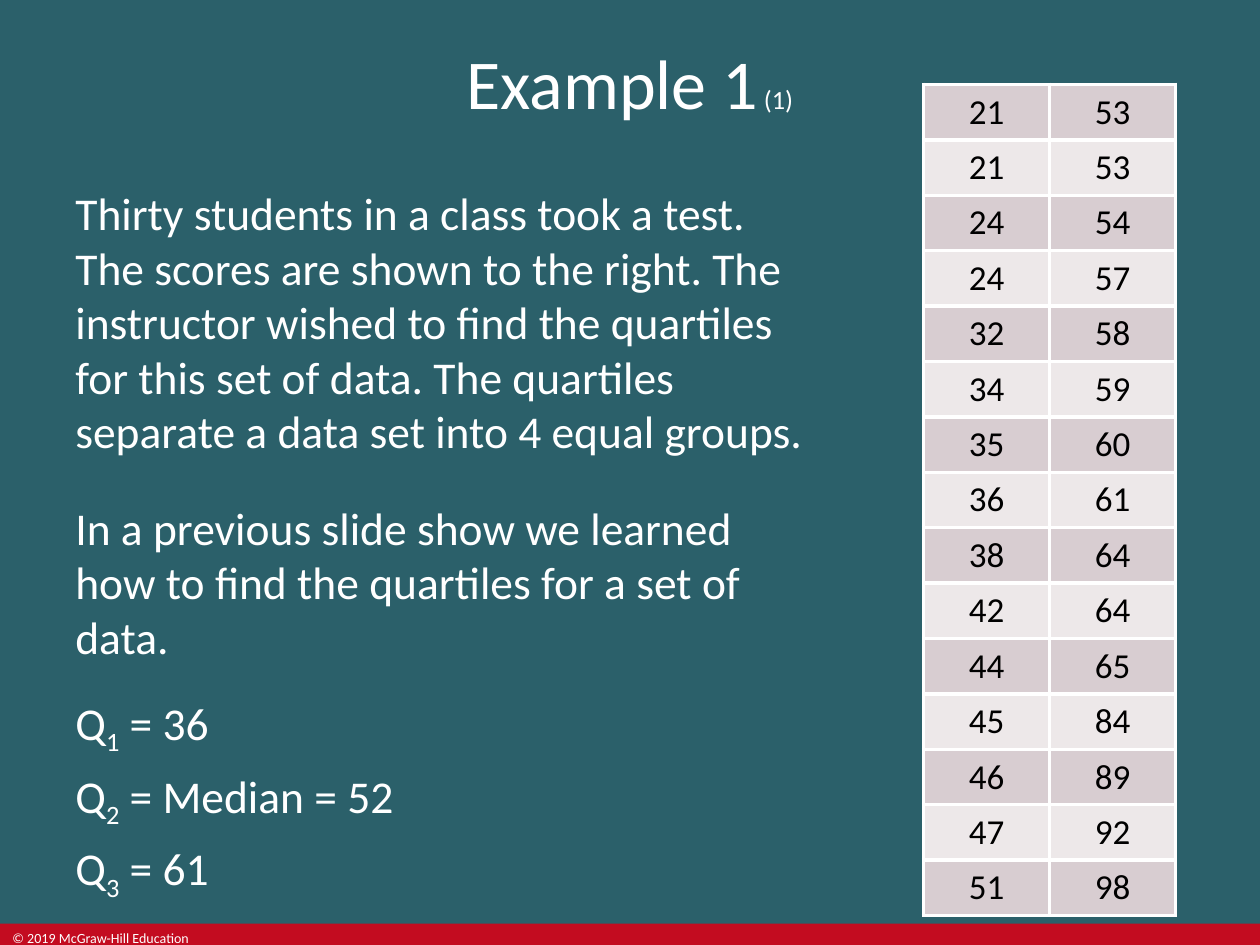
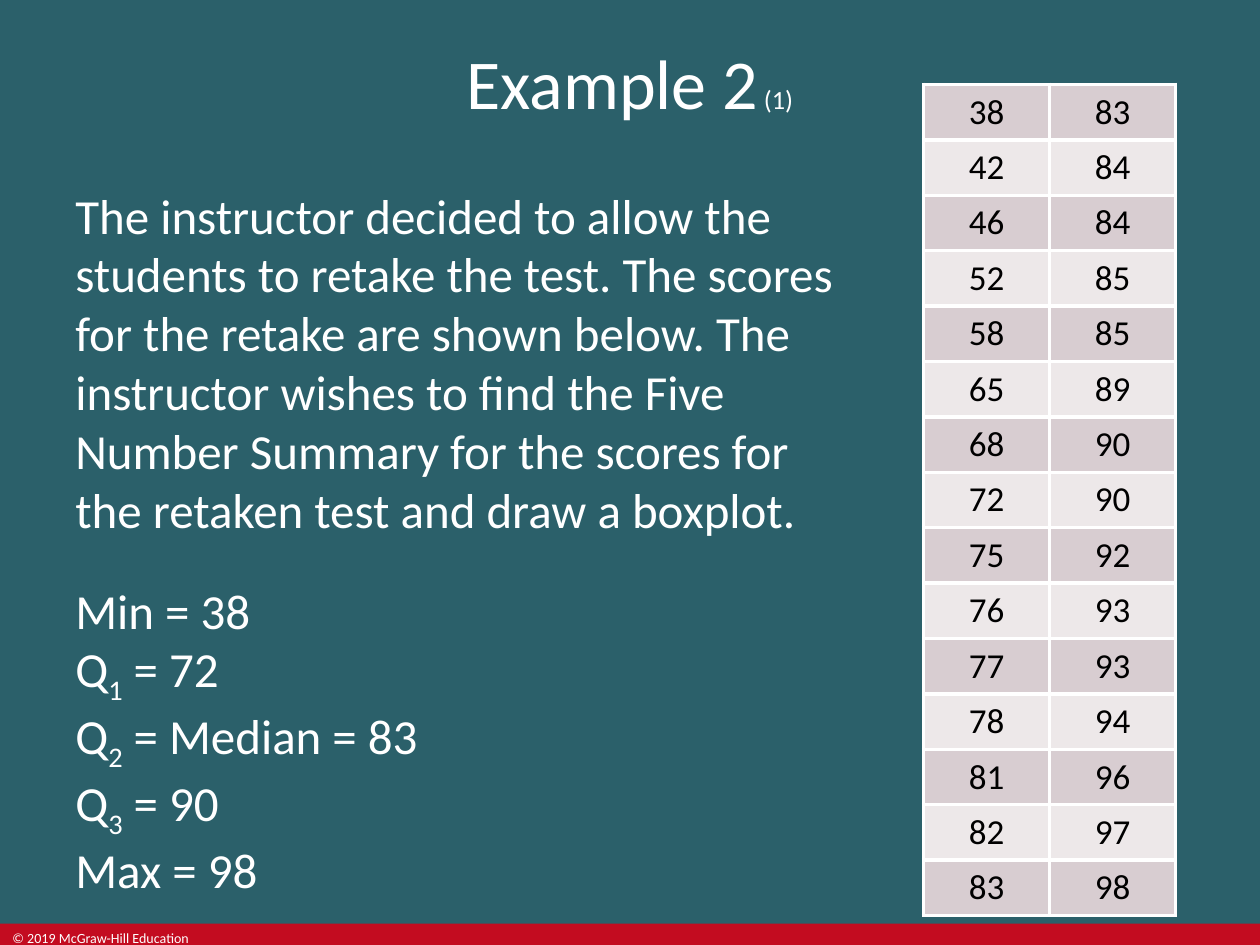
"""Build two example slides, each with a problem text and a table of test scores."""
from lxml import etree
from pptx import Presentation
from pptx.dml.color import RGBColor
from pptx.enum.shapes import MSO_SHAPE as SHAPE
from pptx.enum.text import MSO_ANCHOR as ANCHOR, PP_ALIGN as ALIGN
from pptx.oxml.ns import qn
from pptx.util import Inches, Pt

SLIDES = [
    {
        "title": "Example 1",
        "width": 6,
        "size": 26,
        "body": [
            ("Thirty students in a class took a test. The scores are shown to the right. "
             "The instructor wished to find the quartiles for this set of data. "
             "The quartiles separate a data set into 4 equal groups.", 0, 12),
            ("In a previous slide show we learned how to find the quartiles "
             "for a set of data.", 12, 12),
            ("Q_1_ = 36", 6, 0),
            ("Q_2_ = Median = 52", 6, 0),
            ("Q_3_ = 61", 6, 0),
        ],
        "scores": [
            (21, 21, 24, 24, 32, 34, 35, 36, 38, 42, 44, 45, 46, 47, 51),
            (53, 53, 54, 57, 58, 59, 60, 61, 64, 64, 65, 84, 89, 92, 98),
        ],
    },
    {
        "title": "Example 2",
        "width": 6.3,
        "size": 28,
        "body": [
            ("The instructor decided to allow the students to retake the test. "
             "The scores for the retake are shown below. The instructor wishes to find "
             "the Five Number Summary for the scores for the retaken test "
             "and draw a boxplot.", 0, 12),
            ("Min = 38", 12, 0),
            ("Q_1_ = 72", 0, 0),
            ("Q_2_ = Median = 83", 0, 0),
            ("Q_3_ = 90", 0, 0),
            ("Max = 98", 0, 0),
        ],
        "scores": [
            (38, 42, 46, 52, 58, 65, 68, 72, 75, 76, 77, 78, 81, 82, 83),
            (83, 84, 84, 85, 85, 89, 90, 90, 92, 93, 93, 94, 96, 97, 98),
        ],
    },
]
PART = " (1)"
COPYRIGHT = "© 2019 McGraw-Hill Education"
FONT = "Calibri"
TEAL, RED, WHITE, BLACK = "2B606A", "C30C20", "FFFFFF", "000000"
ROW_FILLS = ("D8CDD1", "EDE8E9")
ROW_HEIGHT = 0.44
BAND_TOP, BAND_HEIGHT = 7.33, 0.17


def rgb(value):
    """Turn a hex string into a colour."""
    return RGBColor.from_string(value)


def add_run(p, text, size, color=WHITE):
    """Add a formatted run to a paragraph."""
    r = p.add_run()
    r.text = text
    for name, value in {"name": FONT, "size": Pt(size)}.items():
        setattr(r.font, name, value)
    r.font.color.rgb = rgb(color)
    return r


def add_text(s, box, anchor=ANCHOR.TOP):
    """Add a wrapping text box and return its text frame."""
    tf = s.shapes.add_textbox(*map(Inches, box)).text_frame
    for name, value in {"word_wrap": True, "vertical_anchor": anchor}.items():
        setattr(tf, name, value)
    return tf


def add_frame(s):
    """Draw the background, the bottom band and the copyright line."""
    s.background.fill.solid()
    s.background.fill.fore_color.rgb = rgb(TEAL)
    sp = s.shapes.add_shape(SHAPE.RECTANGLE, *map(Inches, (0, BAND_TOP, 10, BAND_HEIGHT)))
    sp.shadow.inherit = False
    sp.fill.solid()
    sp.fill.fore_color.rgb = rgb(RED)
    sp.line.fill.background()
    tf = add_text(s, (0, BAND_TOP, 1.7, BAND_HEIGHT))
    add_run(tf.paragraphs[0], COPYRIGHT, 8)


def add_title(s, title):
    """Draw the centred title with its small part number."""
    p = add_text(s, (0, 0, 10, 1.3), ANCHOR.MIDDLE).paragraphs[0]
    p.alignment = ALIGN.CENTER
    add_run(p, title, 40)
    add_run(p, PART, 15)


def add_body(s, body, width, size):
    """Draw the paragraphs, lowering the text between underscores."""
    tf = add_text(s, (0.5, 1.42, width, 5.75))
    for i, (text, before, after) in enumerate(body):
        p = tf.add_paragraph() if i else tf.paragraphs[0]
        for name, value in {"space_before": before, "space_after": after}.items():
            setattr(p, name, Pt(value))
        for j, piece in enumerate(text.split("_")):
            r = add_run(p, piece, size)
            if j % 2:
                r._r.get_or_add_rPr().set("baseline", "-25000")


def set_borders(cell):
    """Give a cell white borders on all sides, placed before its fill."""
    tcPr = cell._tc.get_or_add_tcPr()
    for i, side in enumerate(("lnL", "lnR", "lnT", "lnB")):
        ln = etree.Element(qn(f"a:{side}"), w=str(Pt(2.25)))
        fill = etree.SubElement(ln, qn("a:solidFill"))
        etree.SubElement(fill, qn("a:srgbClr"), val=WHITE)
        tcPr.insert(i, ln)


def add_scores(s, columns):
    """Draw the banded table of scores."""
    rows = list(zip(*columns))
    box = (7.33, 0.67, len(columns), ROW_HEIGHT * len(rows))
    table = s.shapes.add_table(len(rows), len(columns), *map(Inches, box)).table
    table.first_row = False
    for i, row in enumerate(rows):
        table.rows[i].height = Inches(ROW_HEIGHT)
        for j, score in enumerate(row):
            cell = table.cell(i, j)
            cell.fill.solid()
            cell.fill.fore_color.rgb = rgb(ROW_FILLS[i % 2])
            set_borders(cell)
            p = cell.text_frame.paragraphs[0]
            p.alignment = ALIGN.CENTER
            add_run(p, str(score), 20, BLACK)


def main():
    """Build and save the presentation."""
    prs = Presentation()
    prs.slide_width, prs.slide_height = Inches(10), Inches(7.5)
    for item in SLIDES:
        s = prs.slides.add_slide(prs.slide_layouts[6])
        add_frame(s)
        add_title(s, item["title"])
        add_body(s, item["body"], item["width"], item["size"])
        add_scores(s, item["scores"])
    prs.save("out.pptx")


if __name__ == "__main__":
    main()
